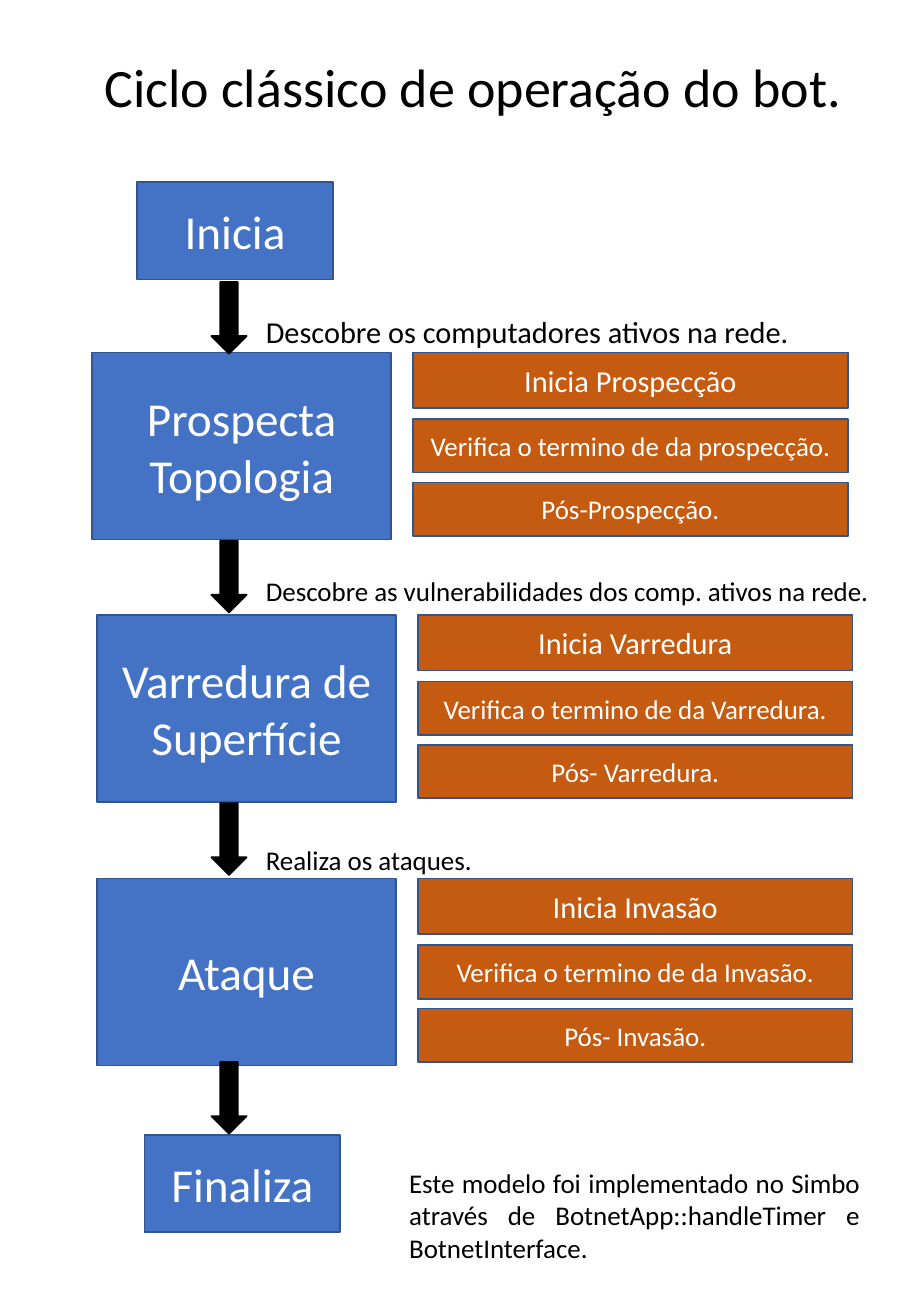
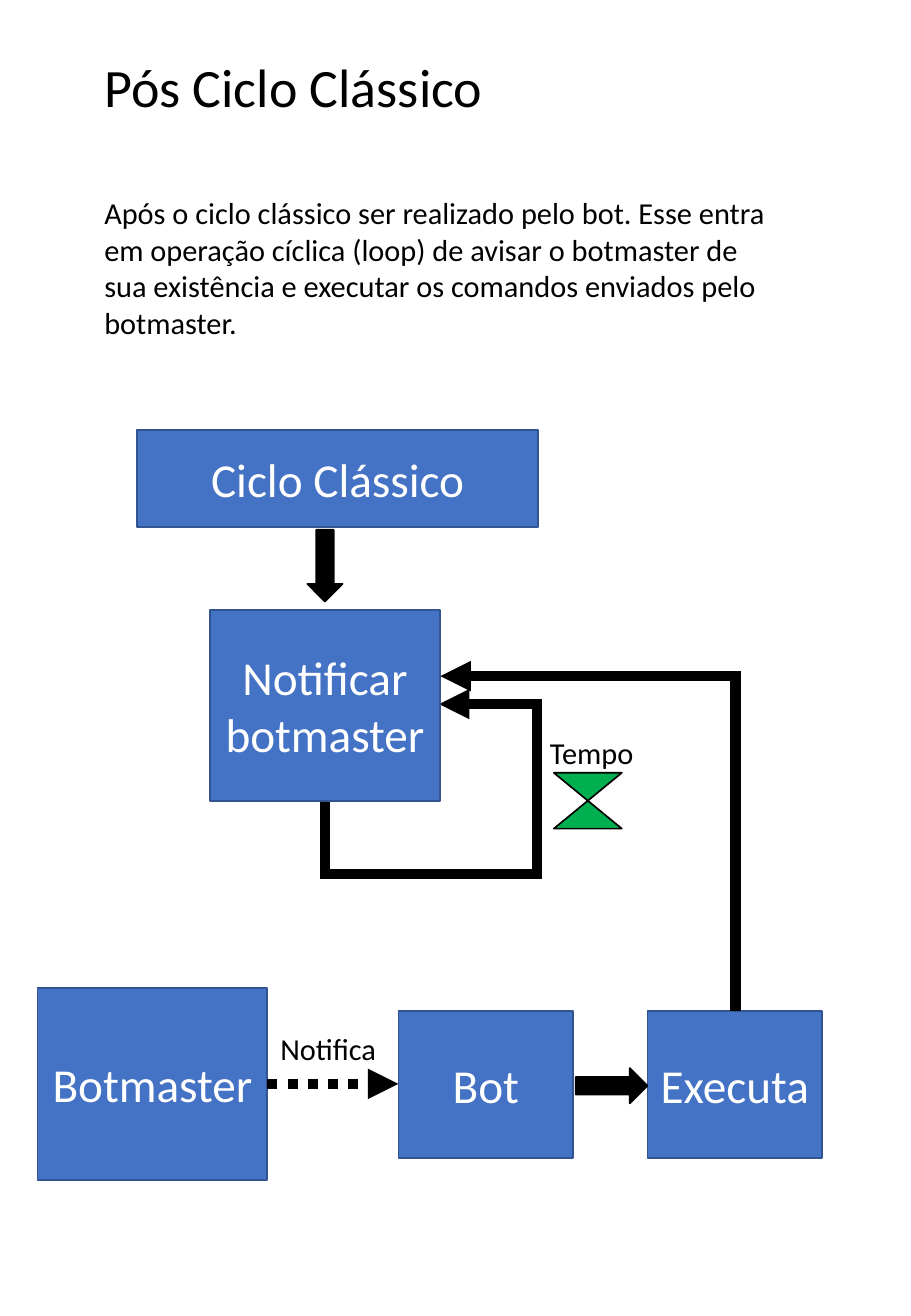
from dataclasses import dataclass

import lxml.etree
import pptx
import pptx.dml.color
import pptx.enum.dml
import pptx.enum.shapes
import pptx.enum.text
import pptx.oxml.ns
import pptx.presentation
import pptx.shapes.autoshape
import pptx.shapes.connector
import pptx.slide
import pptx.util

Inches = pptx.util.Inches
Preset = pptx.enum.shapes.MSO_SHAPE
Connector = pptx.enum.shapes.MSO_CONNECTOR
Align = pptx.enum.text.PP_ALIGN
qn = pptx.oxml.ns.qn


@dataclass(frozen=True)
class Theme:
    """Colours, font and type sizes of both slides."""
    font: str = "Calibri"
    stage: str = "4472C4"
    step: str = "C55A11"
    border: str = "325491"
    timer: str = "00B050"
    ink: str = "000000"
    paper: str = "FFFFFF"
    title: int = 32
    heading: int = 28
    body: int = 18
    small: int = 16
    outline: int = 1
    flow: int = 6


@dataclass(frozen=True)
class Area:
    """A rectangle in inches."""
    left: float
    top: float
    width: float
    height: float

    def lengths(self) -> tuple[int, int, int, int]:
        """Return left, top, width and height as lengths."""
        return (Inches(self.left), Inches(self.top),
                Inches(self.width), Inches(self.height))


@dataclass(frozen=True)
class Box:
    """A filled rectangle with centred text."""
    text: str
    area: Area
    fill: str
    size: int


@dataclass(frozen=True)
class Label:
    """Free text on the page."""
    text: str
    area: Area
    size: int
    align: Align = Align.LEFT
    wrap: bool = True


@dataclass(frozen=True)
class Stage:
    """A stage of the cycle with its steps."""
    name: str
    left: float
    top: float
    steps: tuple[str, str, str]


@dataclass(frozen=True)
class Elbow:
    """A bent connector: its unrotated frame, turn and bends."""
    area: Area
    preset: str
    degrees: int
    flips: tuple[str, ...]
    bends: tuple[float, ...]


THEME = Theme()
STAGE_SIZE = (2.46, 1.54)
STEP_OFFSET = 2.64
STEP_WIDTH = 3.58
STEP_ROWS = ((0, 0.46, THEME.body), (0.55, 0.44, THEME.small),
             (1.07, 0.44, THEME.small))

STAGES = (
    Stage("Prospecta Topologia", 0.76, 2.9,
          ("Inicia Prospecção", "Verifica o termino de da prospecção.",
           "Pós-Prospecção.")),
    Stage("Varredura de Superfície", 0.8, 5.06,
          ("Inicia Varredura", "Verifica o termino de da Varredura.",
           "Pós- Varredura.")),
    Stage("Ataque", 0.8, 7.23,
          ("Inicia Invasão", "Verifica o termino de da Invasão.",
           "Pós- Invasão.")),
)
CYCLE_ENDS = (
    Box("Inicia", Area(1.13, 1.5, 1.61, 0.8), THEME.stage, THEME.heading),
    Box("Finaliza", Area(1.19, 9.34, 1.61, 0.8), THEME.stage, THEME.heading),
)
CYCLE_ARROW_TOPS = (2.32, 4.45, 6.61, 8.74)
CYCLE_LABELS = (
    Label("Este modelo foi implementado no Simbo através de "
          "BotnetApp::handleTimer e BotnetInterface.",
          Area(3.27, 9.55, 3.91, 0.91), THEME.small, Align.JUSTIFY),
    Label("Descobre os computadores ativos na rede.",
          Area(2.09, 2.53, 5.09, 0.4), THEME.body),
    Label("Descobre as vulnerabilidades dos comp. ativos na rede.",
          Area(2.09, 4.68, 5.41, 0.37), THEME.small),
    Label("Realiza os ataques.", Area(2.09, 6.89, 5.41, 0.37), THEME.small),
)

LOOP_BOXES = tuple(
    Box(text, area, THEME.stage, THEME.heading) for text, area in (
        ("Ciclo Clássico", Area(1.13, 3.54, 3.3, 0.8)),
        ("Notificar botmaster", Area(1.73, 5.02, 1.89, 1.57)),
        ("Botmaster", Area(0.31, 8.13, 1.89, 1.58)),
        ("Bot", Area(3.28, 8.32, 1.44, 1.21)),
        ("Executa", Area(5.33, 8.32, 1.44, 1.21)),
    ))
LOOP_LABELS = (
    Label("Após o ciclo clássico ser realizado pelo bot. Esse entra em "
          "operação cíclica (loop) de avisar o botmaster de sua existência "
          "e executar os comandos enviados pelo botmaster.",
          Area(0.76, 1.55, 5.72, 1.31), THEME.body),
    Label("Tempo", Area(4.43, 5.99, 0.9, 0.4), THEME.body, wrap=False),
    Label("Notifica", Area(2.21, 8.43, 1, 0.4), THEME.body, wrap=False),
)
WAIT_LOOP = Elbow(Area(2.75, 5.72, 0.79, 0.94), "bentConnector4", 90,
                  ("flipH", "flipV"), (-0.77, 1.86))
EXECUTE_RETURN = Elbow(Area(3.46, 5.73, 2.76, 2.43), "bentConnector3", 270,
                       ("flipV",), (1,))


def rgb(code: str) -> pptx.dml.color.RGBColor:
    """Turn a hex code into a colour."""
    return pptx.dml.color.RGBColor.from_string(code)


def write(frame: pptx.text.text.TextFrame, text: str, size: int, colour: str,
          align: Align) -> None:
    """Put one styled paragraph in a text frame."""
    paragraph = frame.paragraphs[0]
    paragraph.text = text
    paragraph.alignment = align
    paragraph.font.name = THEME.font
    paragraph.font.size = pptx.util.Pt(size)
    paragraph.font.color.rgb = rgb(colour)


def draw_shape(slide: pptx.slide.Slide, preset: Preset, area: Area, fill: str,
               border: str) -> pptx.shapes.autoshape.Shape:
    """Draw a flat preset shape."""
    shape = slide.shapes.add_shape(preset, *area.lengths())
    shape.shadow.inherit = False
    shape.fill.solid()
    shape.fill.fore_color.rgb = rgb(fill)
    shape.line.color.rgb = rgb(border)
    shape.line.width = pptx.util.Pt(THEME.outline)
    return shape


def draw_box(slide: pptx.slide.Slide, box: Box) -> None:
    """Draw a rectangle with its text in the middle."""
    shape = draw_shape(slide, Preset.RECTANGLE, box.area, box.fill,
                       THEME.border)
    shape.text_frame.word_wrap = True
    shape.text_frame.vertical_anchor = pptx.enum.text.MSO_ANCHOR.MIDDLE
    write(shape.text_frame, box.text, box.size, THEME.paper, Align.CENTER)


def draw_label(slide: pptx.slide.Slide, label: Label) -> None:
    """Draw a text box that grows with its text."""
    frame = slide.shapes.add_textbox(*label.area.lengths()).text_frame
    frame.word_wrap = label.wrap
    frame.auto_size = pptx.enum.text.MSO_AUTO_SIZE.SHAPE_TO_FIT_TEXT
    write(frame, label.text, label.size, THEME.ink, label.align)


def draw_arrow(slide: pptx.slide.Slide, left: float, top: float,
               rotation: float = 0) -> None:
    """Draw a black block arrow, pointing down unless rotated."""
    arrow = draw_shape(slide, Preset.DOWN_ARROW, Area(left, top, 0.29, 0.59),
                       THEME.ink, THEME.ink)
    arrow.rotation = rotation


def draw_flow(slide: pptx.slide.Slide, kind: Connector, area: Area,
              dotted: bool = False) -> pptx.shapes.connector.Connector:
    """Draw a thick connector ending in a triangle."""
    left, top, width, height = area.lengths()
    flow = slide.shapes.add_connector(kind, left, top, left + width,
                                      top + height)
    flow.line.color.rgb = rgb(THEME.ink)
    flow.line.width = pptx.util.Pt(THEME.flow)
    if dotted:
        flow.line.dash_style = pptx.enum.dml.MSO_LINE.ROUND_DOT
    properties = flow._element.spPr
    outline = properties.find(qn("a:ln"))
    lxml.etree.SubElement(outline, qn("a:miter"), lim="800000")
    lxml.etree.SubElement(outline, qn("a:tailEnd"), type="triangle")
    lxml.etree.SubElement(properties, qn("a:effectLst"))
    return flow


def draw_elbow(slide: pptx.slide.Slide, elbow: Elbow) -> None:
    """Draw a bent connector with its turn, flips and bends."""
    flow = draw_flow(slide, Connector.ELBOW, elbow.area)
    properties = flow._element.spPr
    frame = properties.find(qn("a:xfrm"))
    frame.set("rot", str(elbow.degrees * 60000))
    for flip in elbow.flips:
        frame.set(flip, "1")
    geometry = properties.find(qn("a:prstGeom"))
    geometry.set("prst", elbow.preset)
    guides = geometry.find(qn("a:avLst"))
    if guides is None:
        guides = lxml.etree.SubElement(geometry, qn("a:avLst"))
    for number, bend in enumerate(elbow.bends, 1):
        lxml.etree.SubElement(guides, qn("a:gd"), name=f"adj{number}",
                              fmla=f"val {round(bend * 100000)}")


def draw_stage(slide: pptx.slide.Slide, stage: Stage) -> None:
    """Draw a stage and the steps to its right."""
    draw_box(slide, Box(stage.name, Area(stage.left, stage.top, *STAGE_SIZE),
                        THEME.stage, THEME.heading))
    for step, (offset, height, size) in zip(stage.steps, STEP_ROWS):
        area = Area(stage.left + STEP_OFFSET, stage.top + offset, STEP_WIDTH,
                    height)
        draw_box(slide, Box(step, area, THEME.step, size))


def add_page(deck: pptx.presentation.Presentation, title: str,
             width: float) -> pptx.slide.Slide:
    """Add a blank slide with a title."""
    slide = deck.slides.add_slide(deck.slide_layouts[6])
    draw_label(slide, Label(title, Area(0.76, 0.39, width, 0.64),
                            THEME.title))
    return slide


def build_cycle(deck: pptx.presentation.Presentation) -> None:
    """Build the slide of the classic cycle."""
    slide = add_page(deck, "Ciclo clássico de operação do bot.", 6.31)
    for end in CYCLE_ENDS:
        draw_box(slide, end)
    for stage in STAGES:
        draw_stage(slide, stage)
    for top in CYCLE_ARROW_TOPS:
        draw_arrow(slide, 1.74, top)
    for label in CYCLE_LABELS:
        draw_label(slide, label)


def build_loop(deck: pptx.presentation.Presentation) -> None:
    """Build the slide of the loop that follows the cycle."""
    slide = add_page(deck, "Pós Ciclo Clássico", 3.68)
    draw_elbow(slide, WAIT_LOOP)
    draw_arrow(slide, 2.53, 4.36)
    for box in LOOP_BOXES:
        draw_box(slide, box)
    draw_shape(slide, Preset.FLOWCHART_COLLATE, Area(4.56, 6.36, 0.56, 0.46),
               THEME.timer, THEME.ink)
    draw_flow(slide, Connector.STRAIGHT, Area(2.2, 8.92, 1.08, 0), dotted=True)
    draw_elbow(slide, EXECUTE_RETURN)
    draw_arrow(slide, 4.89, 8.64, rotation=270)
    for label in LOOP_LABELS:
        draw_label(slide, label)


def main() -> None:
    """Build and save the presentation."""
    deck = pptx.Presentation()
    deck.slide_width, deck.slide_height = Inches(7.5), Inches(10.83)
    build_cycle(deck)
    build_loop(deck)
    deck.save("out.pptx")


main()
